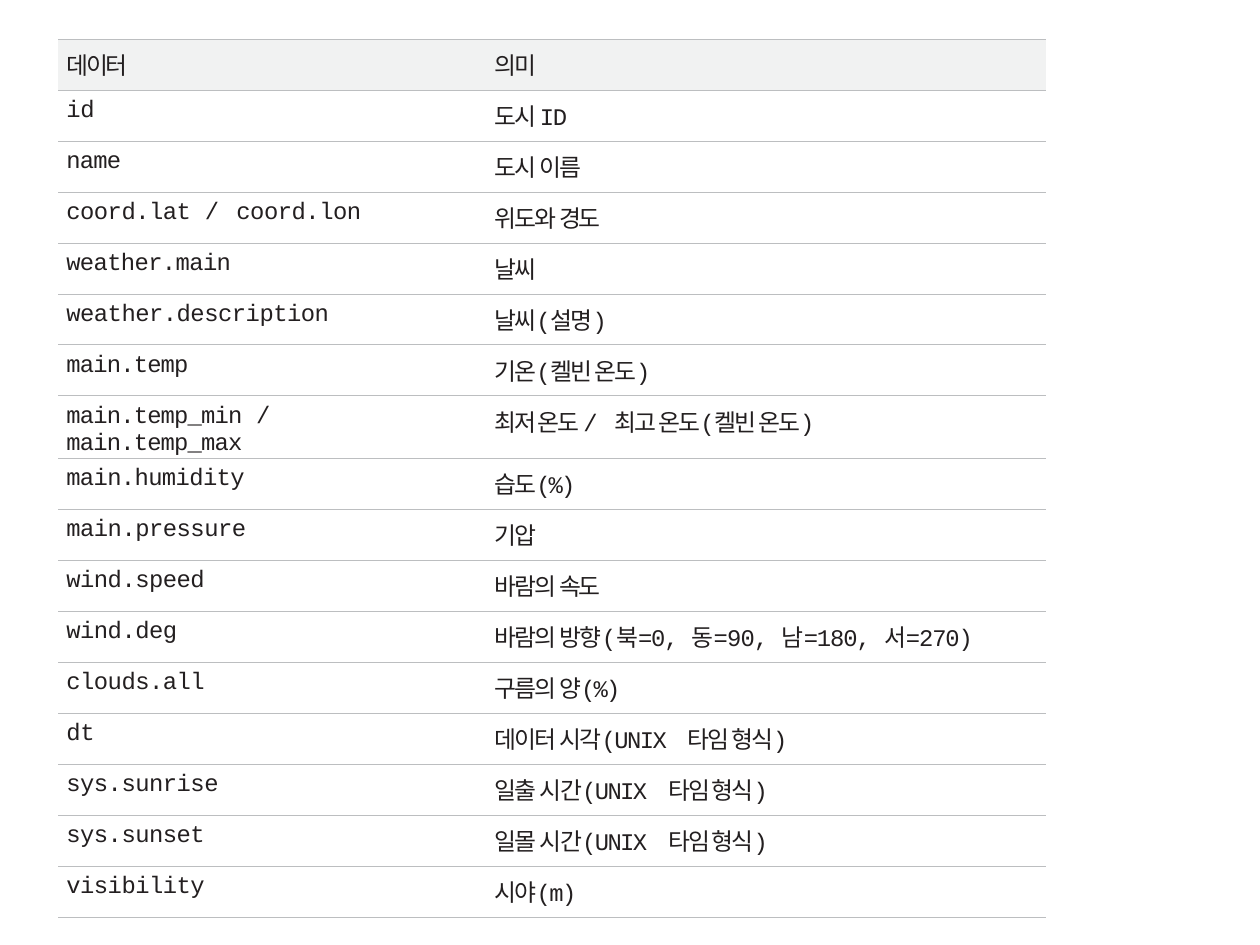
"""Build a slide with a table that explains weather data fields."""
from dataclasses import dataclass

from lxml import etree
from pptx import Presentation
from pptx.dml.color import RGBColor
from pptx.enum.text import MSO_ANCHOR
from pptx.oxml.ns import qn
from pptx.util import Inches, Pt

TOP = MSO_ANCHOR.TOP
COLORS = {"text": "231F20", "rule": "BCBEC0", "header": "F1F2F2"}
FONT = "Courier New"
PAGE_WIDTH, PAGE_HEIGHT = 11.01, 8.26
TABLE_LEFT, TABLE_TOP, TABLE_HEIGHT = 0.51, 0.34, 7.58
COLUMN_WIDTHS = (3.46, 5.17)
COLUMN_INDENTS = (0.07, 0.35)
TOP_MARGIN = 0.07
TEXT_SIZE = 15
RULE_WIDTH = 0.5


@dataclass(frozen=True)
class Span:
    text: str
    spacing: float


@dataclass(frozen=True)
class Field:
    name: tuple[Span, ...]
    meaning: tuple[Span, ...]


SLASH = Span("/ ", 0.9)
UNIX_TIME = (Span("(UNIX", -1), Span(" ", 4), Span("타임 형식)", -1.2))


def field(name: str, spacing: float, *meaning: Span) -> Field:
    """Describe a row whose name has one letter spacing."""
    return Field((Span(name, spacing),), meaning)


FIELDS = (
    field("데이터", -1.4, Span("의미", -1.4)),
    field("id", -0.2, Span("도시 ", -1.2), Span("ID", -0.8)),
    field("name", -0.5, Span("도시 ", -1.2), Span("이름", -1.4)),
    Field((Span("coord.lat ", -0.3), SLASH, Span("coord.lon", -0.3)),
          (Span("위도와 ", -1.3), Span("경도", -1.4))),
    field("weather.main", -0.4, Span("날씨", -1.4)),
    field("weather.description", -0.3, Span("날씨(설명)", -1.2)),
    field("main.temp", -0.5, Span("기온(켈빈 온도)", -1.2)),
    Field((Span("main.temp_min ", -0.5), SLASH, Span("main.temp_max", -0.5)),
          (Span("최저 온도 ", -1.2), SLASH, Span("최고 온도(켈빈 온도)", -1.2))),
    field("main.humidity", -0.4, Span("습도(%)", -1.2)),
    field("main.pressure", -0.3, Span("기압", -1.4)),
    field("wind.speed", -0.3, Span("바람의 ", -1.3), Span("속도", -1.4)),
    field("wind.deg", -0.3, Span("바람의 ", -1.3), Span("방향(북=0, ", -0.8),
          Span("동=90, ", -0.5), Span("남=180, 서=270)", -0.7)),
    field("clouds.all", -0.3, Span("구름의 ", -1.3), Span("양(%)", -1.2)),
    field("dt", -0.2, Span("데이터 ", -1.3), Span("시각", -1), *UNIX_TIME),
    field("sys.sunrise", -0.3, Span("일출 ", -1.2), Span("시간", -1), *UNIX_TIME),
    field("sys.sunset", -0.3, Span("일몰 ", -1.2), Span("시간", -1), *UNIX_TIME),
    field("visibility", -0.3, Span("시야(m)", -1)),
)


def add_span(para, text: str, *, spacing: float, size: float = TEXT_SIZE,
             color: str = "text") -> None:
    """Append formatted text to a paragraph."""
    span = para.add_run()
    span.text = text
    span.font.name = FONT
    span.font.size = Pt(size)
    span.font.bold = False
    span.font.color.rgb = RGBColor.from_string(COLORS[color])
    span.font._element.set("spc", str(round(spacing * 100)))


def set_borders(cell) -> None:
    """Rule a cell above and below and leave its sides open."""
    properties = cell._tc.get_or_add_tcPr()
    for side in ("lnL", "lnR"):
        line = etree.SubElement(properties, qn(f"a:{side}"), w="0")
        etree.SubElement(line, qn("a:noFill"))
    for side in ("lnT", "lnB"):
        line = etree.SubElement(properties, qn(f"a:{side}"), w=str(Pt(RULE_WIDTH)))
        fill = etree.SubElement(line, qn("a:solidFill"))
        etree.SubElement(fill, qn("a:srgbClr"), val=COLORS["rule"])


def fill_cell(cell, spans: tuple[Span, ...], indent: float, header: bool) -> None:
    """Write and format one cell."""
    cell.margin_left, cell.margin_top = Inches(indent), Inches(TOP_MARGIN)
    cell.margin_right = cell.margin_bottom = 0
    cell.vertical_anchor = TOP
    set_borders(cell)
    if header:
        cell.fill.solid()
        cell.fill.fore_color.rgb = RGBColor.from_string(COLORS["header"])
    else:
        cell.fill.background()
    for span in spans:
        add_span(cell.text_frame.paragraphs[0], span.text, spacing=span.spacing)


def add_field_table(page) -> None:
    """Draw the table of fields."""
    table = page.shapes.add_table(
        len(FIELDS), len(COLUMN_WIDTHS), Inches(TABLE_LEFT), Inches(TABLE_TOP),
        Inches(sum(COLUMN_WIDTHS)), Inches(TABLE_HEIGHT)).table
    table.first_row = table.horz_banding = False
    for column, width in zip(table.columns, COLUMN_WIDTHS):
        column.width = Inches(width)
    for index, (row, entry) in enumerate(zip(table.rows, FIELDS)):
        for cell, spans, indent in zip(row.cells, (entry.name, entry.meaning),
                                       COLUMN_INDENTS):
            fill_cell(cell, spans, indent, header=index == 0)


def main() -> None:
    """Build and save the deck."""
    deck = Presentation()
    deck.slide_width, deck.slide_height = Inches(PAGE_WIDTH), Inches(PAGE_HEIGHT)
    page = deck.slides.add_slide(deck.slide_layouts.get_by_name("Blank"))
    add_field_table(page)
    deck.save("out.pptx")


if __name__ == "__main__":
    main()
